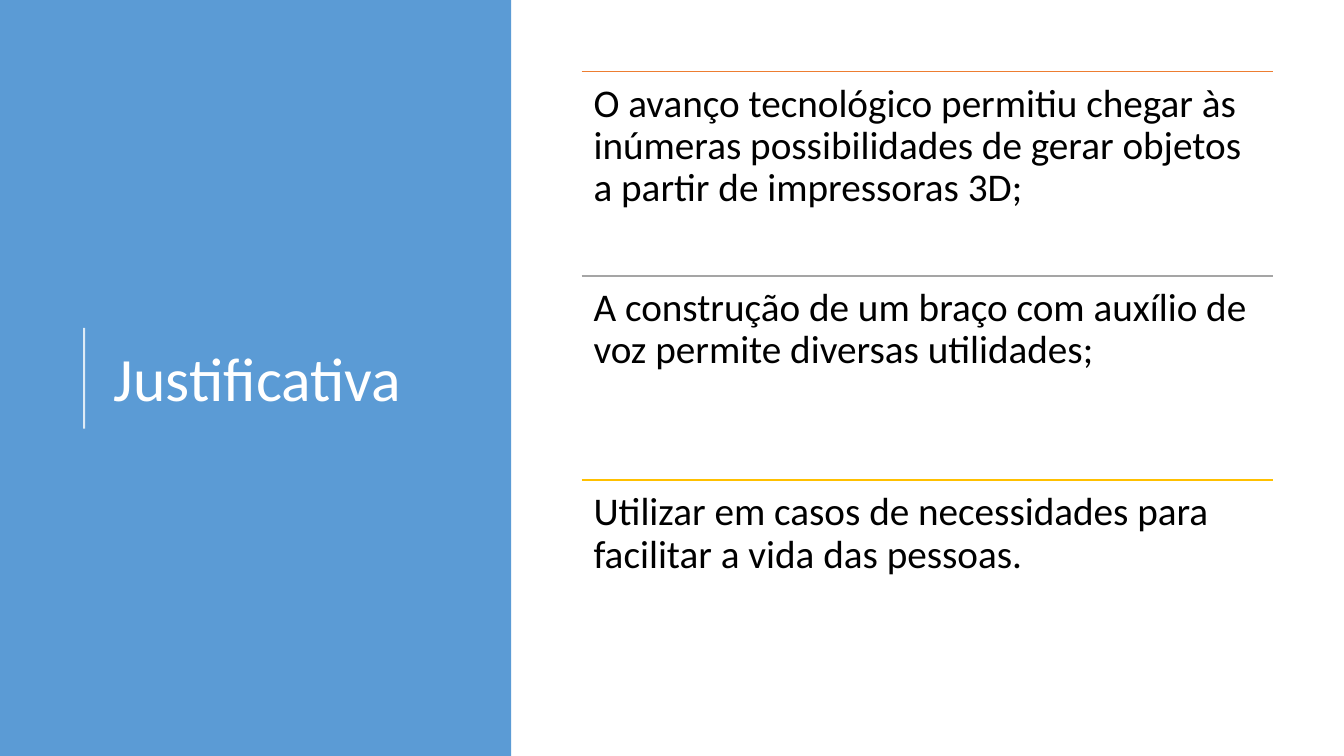
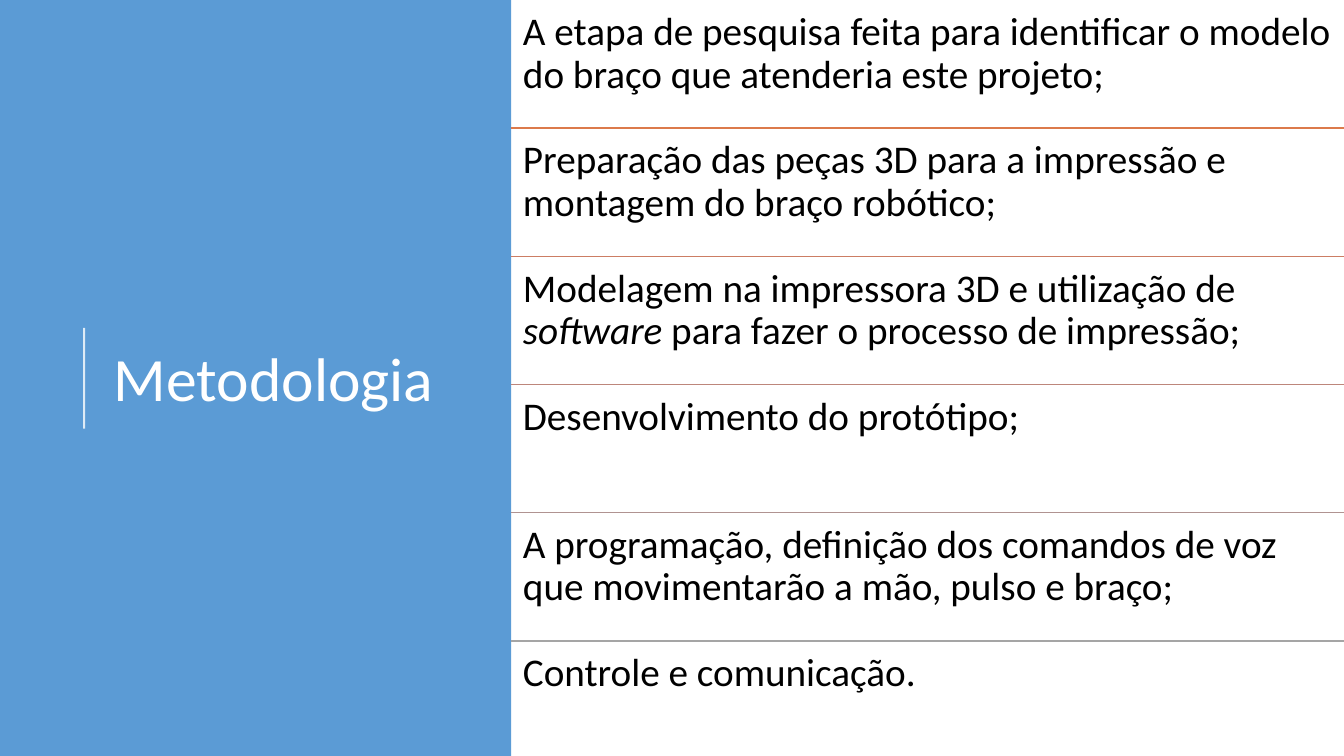
from lxml import etree
from pptx import Presentation
from pptx import util as u
from pptx.dml.color import RGBColor
from pptx.enum import shapes, text
from pptx.oxml.ns import qn

# Content: each topic is (rule colour or None, text); *stars* mark italics
SLIDES = [
    dict(
        title="Justificativa", left=14.66, top=1.8, width=17.42, pitch=5.15,
        topics=[
            ("orange", "O avanço tecnológico permitiu chegar às inúmeras "
                       "possibilidades de gerar objetos a partir de impressoras 3D;"),
            ("gray", "A construção de um braço com auxílio de voz permite "
                     "diversas utilidades;"),
            ("gold", "Utilizar em casos de necessidades para facilitar a vida "
                     "das pessoas."),
        ]),
    dict(
        title="Metodologia", left=12.88, top=0, width=20.99, pitch=3.23,
        topics=[
            (None, "A etapa de pesquisa feita para identificar o modelo do "
                   "braço que atenderia este projeto;"),
            ("fade1", "Preparação das peças 3D para a impressão e montagem do "
                      "braço robótico;"),
            ("fade2", "Modelagem na impressora 3D e utilização de *software* "
                      "para fazer o processo de impressão;"),
            ("fade3", "Desenvolvimento do protótipo;"),
            ("fade4", "A programação, definição dos comandos de voz que "
                      "movimentarão a mão, pulso e braço;"),
            ("gray", "Controle e comunicação."),
        ]),
]

# Shared style
COLORS = dict(
    panel="5B9BD5", white="FFFFFF", black="000000",
    orange="ED7D31", gray="A5A5A5", gold="FFC000",
    fade1="DC7A4B", fade2="CC7D64", fade3="BD867B", fade4="B09391",
)
FONT = "Calibri"
SLIDE_W, SLIDE_H, PANEL_W = 33.87, 19.05, 12.88
INSET = 0.3


def rgb(name):
    return RGBColor.from_string(COLORS[name])


def add_rule(slide, x1, y1, x2, y2, color, points, opacity=None):
    rule = slide.shapes.add_connector(
        shapes.MSO_CONNECTOR.STRAIGHT, *map(u.Cm, (x1, y1, x2, y2)))
    rule.line.color.rgb = rgb(color)
    rule.line.width = u.Pt(points)
    properties = rule._element.spPr
    if opacity:
        fill_color = properties.find(".//" + qn("a:srgbClr"))
        etree.SubElement(fill_color, qn("a:alpha"), val=str(opacity * 1000))
    etree.SubElement(properties, qn("a:effectLst"))


def add_text(slide, box, words, size, color, anchor, inset):
    frame = slide.shapes.add_textbox(*map(u.Cm, box)).text_frame
    frame.word_wrap = True
    frame.vertical_anchor = anchor
    frame.margin_left = frame.margin_right = u.Cm(inset)
    frame.margin_top = frame.margin_bottom = u.Cm(inset)
    paragraph = frame.paragraphs[0]
    paragraph.line_spacing = 0.9
    for index, part in enumerate(words.split("*")):
        run = paragraph.add_run()
        run.text = part
        run.font.name = FONT
        run.font.size = u.Pt(size)
        run.font.color.rgb = rgb(color)
        if index % 2:
            run.font.italic = True


def add_title_panel(slide, title):
    panel = slide.shapes.add_shape(
        shapes.MSO_SHAPE.RECTANGLE, 0, 0, u.Cm(PANEL_W), u.Cm(SLIDE_H))
    panel.shadow.inherit = False
    panel.fill.solid()
    panel.fill.fore_color.rgb = rgb("panel")
    panel.line.fill.background()
    add_text(slide, (2.62, 1.98, 9.37, 15.29), title, 44, "white",
             text.MSO_ANCHOR.MIDDLE, 0.25)
    add_rule(slide, 2.12, 10.8, 2.12, 8.26, "white", 1.5, opacity=80)


def add_topics(slide, left, top, width, pitch, topics):
    for row, (rule_color, words) in enumerate(topics):
        y = top + row * pitch
        if rule_color:
            add_rule(slide, left, y, left + width, y, rule_color, 1)
        height = min(pitch, SLIDE_H - y)
        add_text(slide, (left, y, width, height), words, 28, "black",
                 text.MSO_ANCHOR.TOP, INSET)


def main():
    deck = Presentation()
    deck.slide_width, deck.slide_height = u.Cm(SLIDE_W), u.Cm(SLIDE_H)
    blank = deck.slide_layouts[6]
    for content in SLIDES:
        slide = deck.slides.add_slide(blank)
        add_title_panel(slide, content["title"])
        add_topics(slide, content["left"], content["top"], content["width"],
                   content["pitch"], content["topics"])
    deck.save("out.pptx")


if __name__ == "__main__":
    main()
